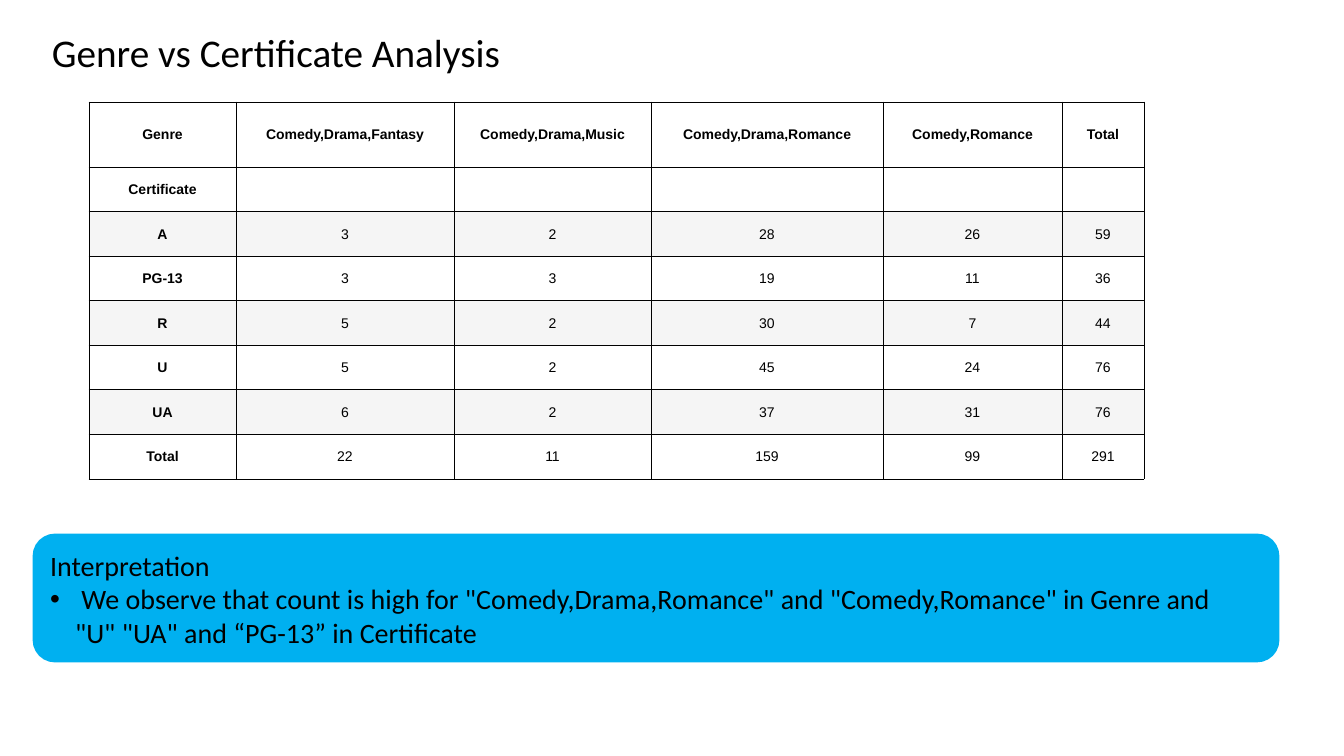
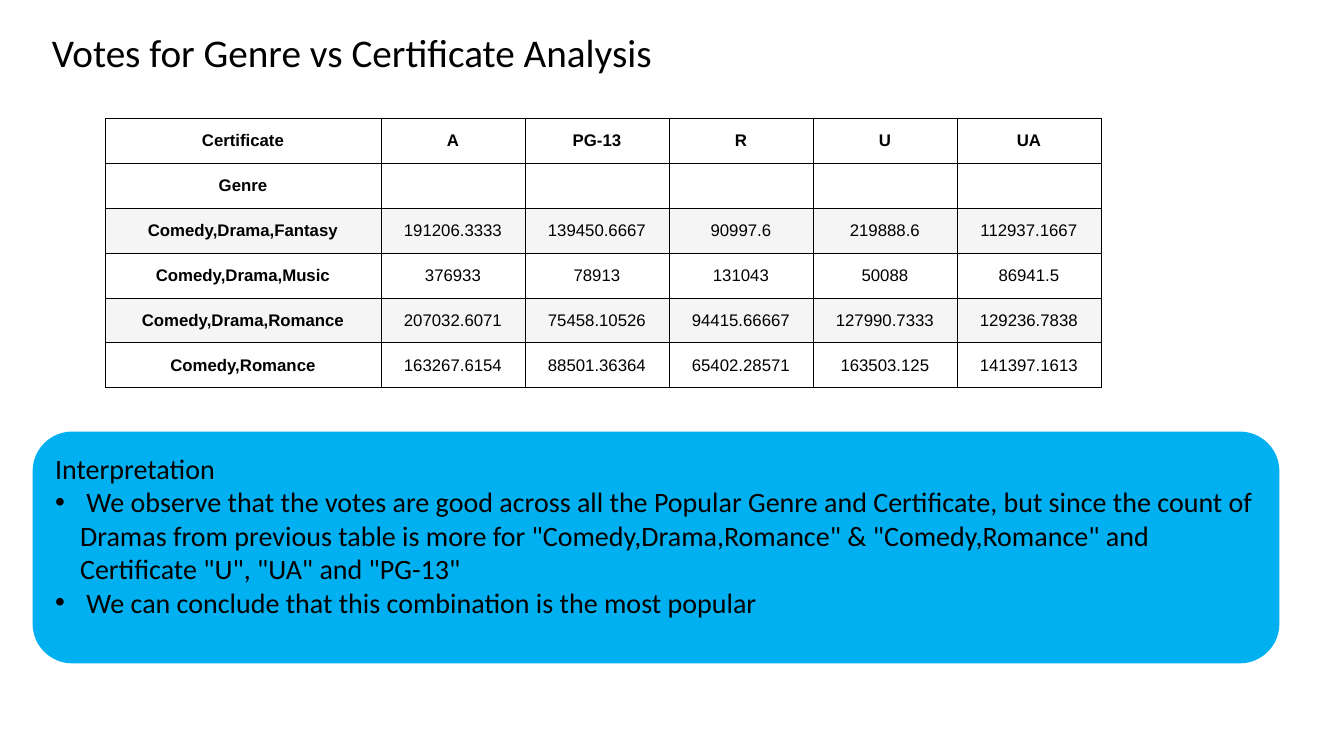
from dataclasses import dataclass

from lxml.etree import SubElement
from pptx import Presentation
from pptx.dml.color import RGBColor
from pptx.enum.shapes import MSO_SHAPE
from pptx.enum.text import MSO_ANCHOR, MSO_AUTO_SIZE, PP_ALIGN
from pptx.oxml.ns import qn
from pptx.util import Emu, Pt

SLIDE_WIDTH, SLIDE_HEIGHT = 1344, 756
EMU_PER_PX = 12192000 / SLIDE_WIDTH


@dataclass(frozen=True)
class Theme:
    ink: str = "000000"
    paper: str = "FFFFFF"
    stripe: str = "F5F5F5"
    panel: str = "00B0F0"
    text_font: str = "Calibri"
    table_font: str = "Arial"
    title_size: int = 28
    panel_size: int = 20
    border: float = 0.5
    panel_line: int = 2


THEME = Theme()

# Content: genre against certificate
COUNT_ROWS = [
    ["Genre", "Comedy,Drama,Fantasy", "Comedy,Drama,Music",
     "Comedy,Drama,Romance", "Comedy,Romance", "Total"],
    ["Certificate", "", "", "", "", ""],
    ["A", "3", "2", "28", "26", "59"],
    ["PG-13", "3", "3", "19", "11", "36"],
    ["R", "5", "2", "30", "7", "44"],
    ["U", "5", "2", "45", "24", "76"],
    ["UA", "6", "2", "37", "31", "76"],
    ["Total", "22", "11", "159", "99", "291"],
]
VOTE_ROWS = [
    ["Certificate", "A", "PG-13", "R", "U", "UA"],
    ["Genre", "", "", "", "", ""],
    ["Comedy,Drama,Fantasy", "191206.3333", "139450.6667", "90997.6",
     "219888.6", "112937.1667"],
    ["Comedy,Drama,Music", "376933", "78913", "131043", "50088", "86941.5"],
    ["Comedy,Drama,Romance", "207032.6071", "75458.10526", "94415.66667",
     "127990.7333", "129236.7838"],
    ["Comedy,Romance", "163267.6154", "88501.36364", "65402.28571",
     "163503.125", "141397.1613"],
]

# Each finding is a list of lines
COUNT_FINDINGS = [
    [' We observe that count is high for "Comedy,Drama,Romance" and '
     '"Comedy,Romance" in Genre and ',
     '"U" "UA" and “PG-13” in Certificate'],
]
VOTE_FINDINGS = [
    [" We observe that the votes are good across all the Popular Genre and "
     "Certificate, but since the count of Dramas from previous table is more "
     'for "Comedy,Drama,Romance" & "Comedy,Romance" and ',
     'Certificate "U", "UA" and "PG-13"'],
    [" We can conclude that this combination is the most popular"],
]


def px(length):
    return Emu(round(length * EMU_PER_PX))


def rgb(color):
    return RGBColor.from_string(color)


def add_text(paragraph, text, font, size, bold=False):
    run = paragraph.add_run()
    run.text = text
    run.font.name = font
    run.font.size = Pt(size)
    run.font.bold = bold
    run.font.color.rgb = rgb(THEME.ink)


def add_title(slide, text):
    frame = slide.shapes.add_textbox(px(42), px(23), px(977), px(57)).text_frame
    frame.word_wrap = True
    frame.auto_size = MSO_AUTO_SIZE.SHAPE_TO_FIT_TEXT
    add_text(frame.paragraphs[0], text, THEME.text_font, THEME.title_size)


# Table
def set_borders(cell):
    properties = cell._tc.get_or_add_tcPr()
    for position, side in enumerate(("a:lnL", "a:lnR", "a:lnT", "a:lnB")):
        line = SubElement(properties, qn(side), w=str(Pt(THEME.border)))
        fill = SubElement(line, qn("a:solidFill"))
        SubElement(fill, qn("a:srgbClr"), val=THEME.ink)
        properties.insert(position, line)


def fill_cell(cell, text, size, bold, color):
    cell.fill.solid()
    cell.fill.fore_color.rgb = rgb(color)
    set_borders(cell)
    cell.vertical_anchor = MSO_ANCHOR.MIDDLE
    cell.margin_left = cell.margin_right = cell.margin_top = px(1)
    cell.margin_bottom = 0
    if text:
        paragraph = cell.text_frame.paragraphs[0]
        paragraph.alignment = PP_ALIGN.CENTER
        add_text(paragraph, text, THEME.table_font, size, bold)


def add_cross_table(slide, rows, left, top, widths, header_height,
                    body_height, size):
    table = slide.shapes.add_table(
        len(rows), len(widths), px(left), px(top), px(sum(widths)),
        px(header_height + body_height)).table
    table.first_row = table.horz_banding = False
    for column, width in zip(table.columns, widths):
        column.width = px(width)
    for r, values in enumerate(rows):
        table.rows[r].height = px(body_height / (len(rows) - 1) if r
                                  else header_height)
        striped = r >= 2 and r % 2 == 0
        for c, value in enumerate(values):
            fill_cell(table.cell(r, c), value, size, r < 2 or c == 0,
                      THEME.stripe if striped else THEME.paper)


# Interpretation panel
def set_bullet(paragraph, hang):
    properties = paragraph._p.get_or_add_pPr()
    properties.set("marL", str(px(hang)))
    properties.set("indent", str(-px(hang)))
    color = SubElement(properties, qn("a:buClr"))
    SubElement(color, qn("a:srgbClr"), val=THEME.ink)
    SubElement(properties, qn("a:buFont"), typeface=THEME.table_font)
    SubElement(properties, qn("a:buChar"), char="•")


def add_interpretation(slide, findings, top, height):
    panel = slide.shapes.add_shape(MSO_SHAPE.FLOWCHART_ALTERNATE_PROCESS,
                                   px(34), px(top), px(1244), px(height))
    panel.shadow.inherit = False
    panel.fill.solid()
    panel.fill.fore_color.rgb = rgb(THEME.panel)
    panel.line.color.rgb = rgb(THEME.panel)
    panel.line.width = Pt(THEME.panel_line)
    frame = panel.text_frame
    frame.word_wrap = True
    frame.vertical_anchor = MSO_ANCHOR.TOP
    frame.margin_top = px(7)
    heading = frame.paragraphs[0]
    heading.alignment = PP_ALIGN.LEFT
    add_text(heading, "Interpretation", THEME.text_font, THEME.panel_size)
    for finding in findings:
        paragraph = frame.add_paragraph()
        paragraph.alignment = PP_ALIGN.LEFT
        set_bullet(paragraph, 25)
        for number, line in enumerate(finding):
            if number:
                paragraph.add_line_break()
            add_text(paragraph, line, THEME.text_font, THEME.panel_size)


def main():
    deck = Presentation()
    deck.slide_width, deck.slide_height = px(SLIDE_WIDTH), px(SLIDE_HEIGHT)
    blank = deck.slide_layouts[6]

    # Counts
    counts = deck.slides.add_slide(blank)
    add_title(counts, "Genre vs Certificate Analysis")
    add_cross_table(counts, COUNT_ROWS, 89, 102,
                    [147, 218, 197, 232, 179, 82], 65, 312, 10)
    add_interpretation(counts, COUNT_FINDINGS, 535, 126)

    # Votes
    votes = deck.slides.add_slide(blank)
    add_title(votes, "Votes for Genre vs Certificate Analysis")
    add_cross_table(votes, VOTE_ROWS, 105, 118, [276] + [144] * 5, 45, 225, 12)
    add_interpretation(votes, VOTE_FINDINGS, 433, 229)

    deck.save("out.pptx")


if __name__ == "__main__":
    main()
